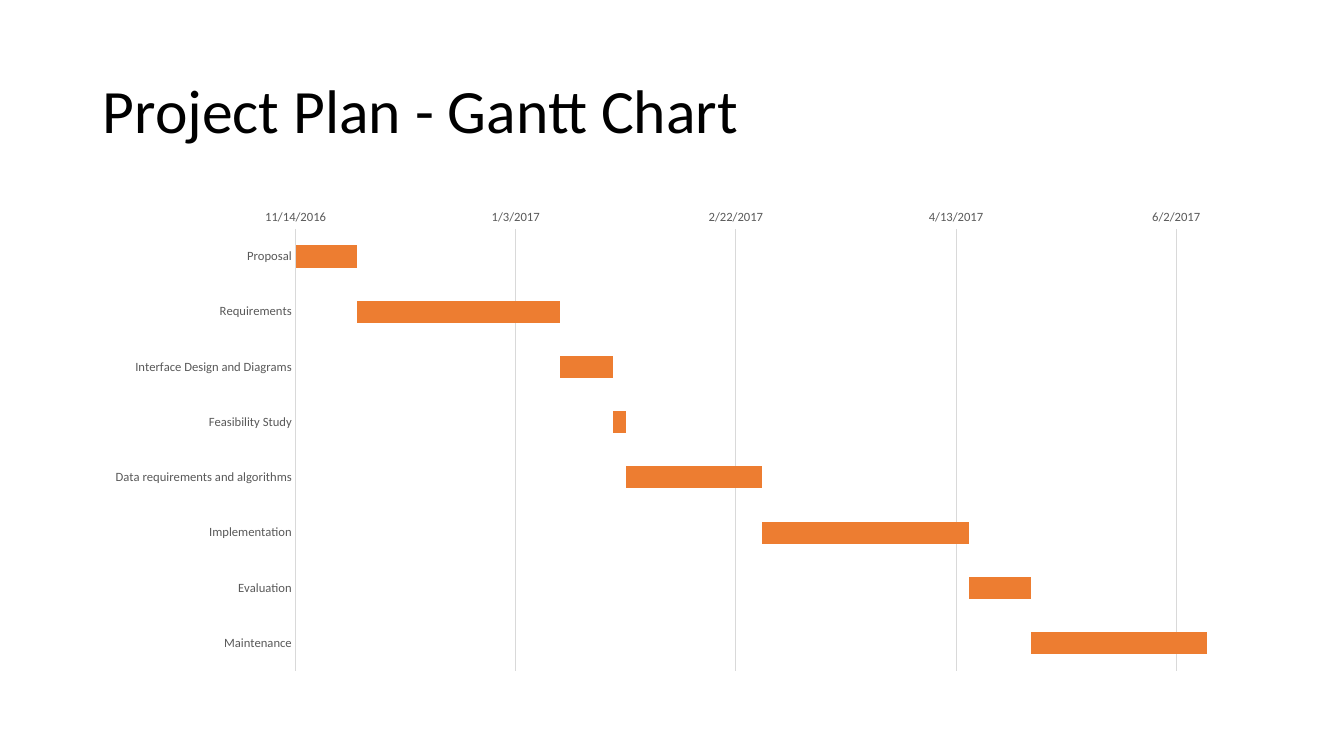
from lxml import etree
from pptx import Presentation
from pptx.chart.data import CategoryChartData
from pptx.dml.color import RGBColor
from pptx.enum.chart import XL_CHART_TYPE, XL_TICK_MARK
from pptx.enum.text import MSO_ANCHOR, PP_ALIGN
from pptx.oxml.ns import qn
from pptx.util import Inches, Pt

STACKED_BARS = XL_CHART_TYPE.BAR_STACKED
NO_TICKS = XL_TICK_MARK.NONE
MIDDLE = MSO_ANCHOR.MIDDLE
LEFT = PP_ALIGN.LEFT

BLACK = RGBColor(0x00, 0x00, 0x00)
GREY = RGBColor(0x59, 0x59, 0x59)
LIGHT_GREY = RGBColor(0xD9, 0xD9, 0xD9)
ORANGE = RGBColor(0xED, 0x7D, 0x31)
FONT = "Calibri"

TITLE = "Project Plan - Gantt Chart"
TASKS = [
    ("Proposal", 42688, 14),
    ("Requirements", 42702, 46),
    ("Interface Design and Diagrams", 42748, 12),
    ("Feasibility Study", 42760, 3),
    ("Data requirements and algorithms", 42763, 31),
    ("Implementation", 42794, 47),
    ("Evaluation", 42841, 14),
    ("Maintenance", 42855, 40),
]
FIRST_DAY, LAST_DAY, DAY_STEP = 42688, 42900, 50
PLOT_LAYOUT = {"x": 0.175, "y": 0.057, "w": 0.805, "h": 0.921}


def style_font(font, size, color):
    font.name = FONT
    font.size = Pt(size)
    font.color.rgb = color


def style_line(line):
    line.color.rgb = LIGHT_GREY
    line.width = Pt(0.75)


def style_axis(axis):
    axis.major_tick_mark = NO_TICKS
    axis.minor_tick_mark = NO_TICKS
    style_font(axis.tick_labels.font, 9, GREY)


def place_plot(chart):
    plot_area = chart.element.find(".//" + qn("c:plotArea"))
    for old_layout in plot_area.findall(qn("c:layout")):
        plot_area.remove(old_layout)
    layout = etree.Element(qn("c:layout"))
    manual = etree.SubElement(layout, qn("c:manualLayout"))
    settings = {"layoutTarget": "inner", "xMode": "edge", "yMode": "edge", **PLOT_LAYOUT}
    for name, value in settings.items():
        etree.SubElement(manual, qn("c:" + name)).set("val", str(value))
    plot_area.insert(0, layout)


def add_title(page):
    title = page.shapes.title
    title.left, title.top = Inches(0.92), Inches(0.4)
    title.width, title.height = Inches(11.5), Inches(1.45)
    title.text_frame.vertical_anchor = MIDDLE
    para = title.text_frame.paragraphs[0]
    para.alignment = LEFT
    para.line_spacing = 0.9
    span = para.add_run()
    span.text = TITLE
    style_font(span.font, 44, BLACK)


def add_gantt(page):
    names, starts, durations = zip(*TASKS)
    data = CategoryChartData()
    data.categories = names
    data.add_series("Series 1", starts)
    data.add_series("Series 2", durations)
    chart = page.shapes.add_chart(
        STACKED_BARS, Inches(0.92), Inches(2), Inches(11.5), Inches(4.76), data
    ).chart
    chart.has_title = False
    chart.has_legend = False
    style_font(chart.font, 10, BLACK)

    plot = chart.plots[0]
    plot.gap_width = 150
    plot.overlap = 100
    plot.vary_by_categories = False
    start_bars, duration_bars = plot.series
    start_bars.format.fill.background()
    start_bars.format.line.fill.background()
    duration_bars.format.fill.solid()
    duration_bars.format.fill.fore_color.rgb = ORANGE

    tasks = chart.category_axis
    style_axis(tasks)
    tasks.reverse_order = True
    tasks.has_major_gridlines = False
    style_line(tasks.format.line)

    days = chart.value_axis
    style_axis(days)
    days.minimum_scale = FIRST_DAY
    days.maximum_scale = LAST_DAY
    days.major_unit = DAY_STEP
    days.tick_labels.number_format = "m/d/yyyy"
    days.tick_labels.number_format_is_linked = False
    days.format.line.fill.background()
    days.has_major_gridlines = True
    style_line(days.major_gridlines.format.line)
    place_plot(chart)


def main():
    deck = Presentation()
    deck.slide_width, deck.slide_height = Inches(13.33), Inches(7.5)
    page = deck.slides.add_slide(deck.slide_layouts[5])
    add_title(page)
    add_gantt(page)
    deck.save("out.pptx")


if __name__ == "__main__":
    main()
